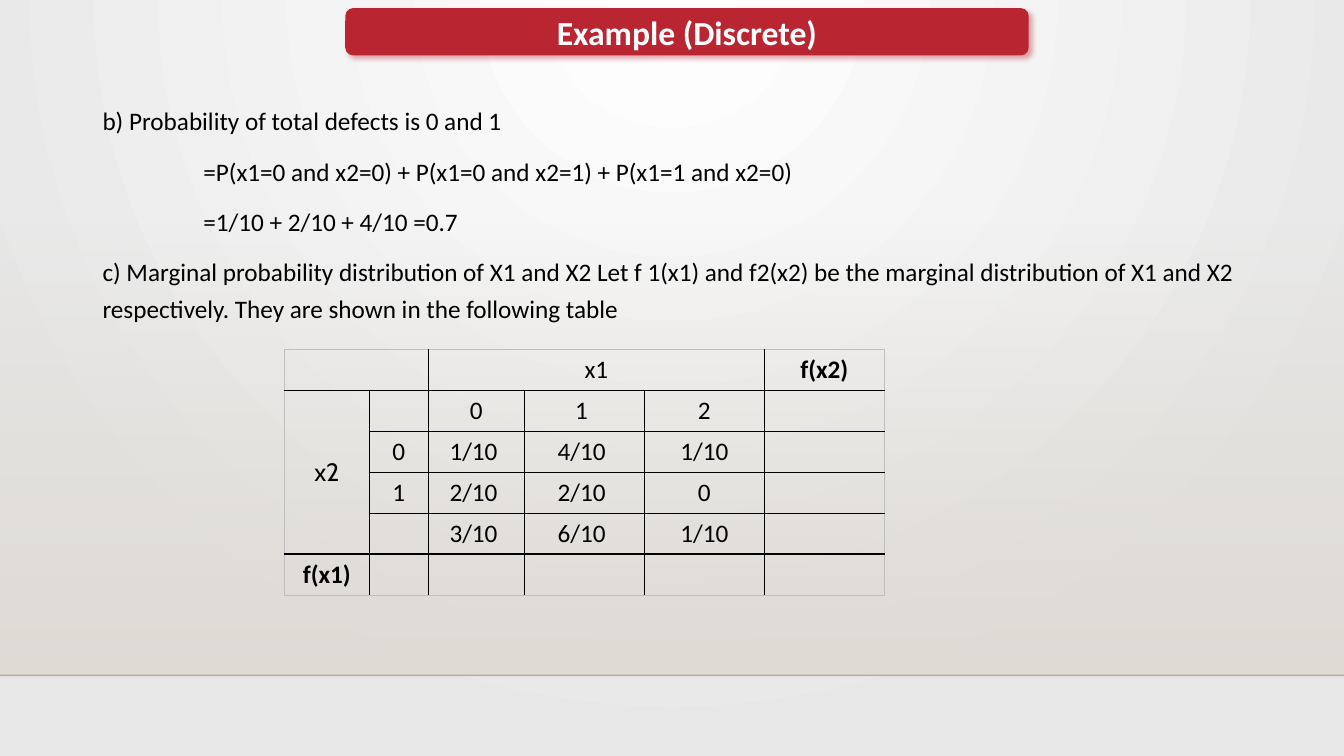
from lxml.etree import SubElement
from pptx import Presentation
from pptx.dml.color import RGBColor
from pptx.enum.shapes import MSO_CONNECTOR, MSO_SHAPE
from pptx.enum.text import MSO_ANCHOR, PP_ALIGN
from pptx.oxml.ns import qn
from pptx.util import Pt

# Content
TITLE = "Example (Discrete)"
BODY = [  # text, left indent
    ("b) Probability of total defects is 0 and 1", 0),
    ("=P(x1=0 and x2=0) + P(x1=0 and x2=1) + P(x1=1 and x2=0)", 72),
    ("=1/10 + 2/10 + 4/10 =0.7", 72),
    ("c) Marginal probability distribution of X1 and X2 Let f 1(x1) and f2(x2) "
     "be the marginal distribution of X1 and X2 respectively. "
     "They are shown in the following table", 0),
]
DISTRIBUTION = [
    ["", "", "x1", "", "", "f(x2)"],
    ["x2", "", "0", "1 ", "2", ""],
    ["", "0", "1/10 ", "4/10 ", "1/10", ""],
    ["", "1", "2/10 ", "2/10 ", "0", ""],
    ["", "", "3/10 ", "6/10 ", "1/10", ""],
    ["f(x1)", "", "", "", "", ""],
]
MERGES = [((0, 0), (0, 1)), ((0, 2), (0, 4)), ((1, 0), (4, 0))]
COLUMN_WIDTHS = [60.7, 42.2, 68.6, 85.7, 85.7, 85.7]
ROW_HEIGHT = 29.28
WIDTH, HEIGHT = 960, 540
HORIZON = 482.4
RED, BLACK, WHITE, GREY = "BA2532", "000000", "FFFFFF", "BFBFBF"


def rgb(value):
    return RGBColor.from_string(value)


def add_xml(parent, tag, **attributes):
    return SubElement(parent, qn(tag), {k: str(v) for k, v in attributes.items()})


def style(paragraph, size=18, color=BLACK, bold=False, font="Calibri"):
    for run in paragraph.runs:
        run.font.size = Pt(size)
        run.font.name = font
        run.font.bold = bold
        run.font.color.rgb = rgb(color)


def gradient(fill, *colors):
    fill.gradient()
    for stop, color in zip(fill.gradient_stops, colors):
        stop.color.rgb = rgb(color)


def border(cell, side, color, width):
    line = add_xml(cell._tc.get_or_add_tcPr(), f"a:{side}", w=Pt(width))
    add_xml(add_xml(line, "a:solidFill"), "a:srgbClr", val=color)


prs = Presentation()
prs.slide_width, prs.slide_height = Pt(WIDTH), Pt(HEIGHT)
slide = prs.slides.add_slide(prs.slide_layouts[6])
shapes = slide.shapes

# Background: light spreading from the top centre
gradient(slide.background.fill, WHITE, "E7E7E7")
linear = slide._element.xpath(".//p:bg//a:lin")[0]
radial = add_xml(linear.getparent(), "a:path", path="circle")
add_xml(radial, "a:fillToRect", l=43000, t=0, r=43000, b=100000)
linear.getparent().remove(linear)

# Floor: fades in downwards to the horizon line
floor = shapes.add_shape(MSO_SHAPE.RECTANGLE, 0, Pt(159.1), Pt(WIDTH), Pt(HORIZON - 159.1))
floor.shadow.inherit = False
floor.line.fill.background()
gradient(floor.fill, "DFDBD5", "DFDBD5")
floor.fill.gradient_angle = 270
add_xml(floor._element.xpath(".//a:gs/a:srgbClr")[0], "a:alpha", val=0)

horizon = shapes.add_connector(MSO_CONNECTOR.STRAIGHT, 0, Pt(HORIZON), Pt(WIDTH), Pt(HORIZON))
horizon.line.width = Pt(1)
horizon.line.color.rgb = rgb("000001")
add_xml(horizon._element.xpath(".//a:ln//a:srgbClr")[0], "a:alpha", val=20000)
add_xml(horizon._element.spPr, "a:effectLst")

# Title bar with a red glow below right
title = shapes.add_shape(MSO_SHAPE.ROUNDED_RECTANGLE, Pt(246.6), Pt(5.8), Pt(488.2), Pt(33.8))
title.fill.solid()
title.fill.fore_color.rgb = rgb(RED)
title.line.fill.background()
title.shadow.inherit = False
effects = title._element.spPr.find(qn("a:effectLst"))
glow = add_xml(effects, "a:outerShdw", blurRad=Pt(4), dist=Pt(3), dir=45 * 60000,
               algn="tl", rotWithShape=0)
add_xml(add_xml(glow, "a:srgbClr", val=RED), "a:alpha", val=40000)
title.text_frame.text = TITLE
title.text_frame.vertical_anchor = MSO_ANCHOR.MIDDLE
heading = title.text_frame.paragraphs[0]
heading.alignment = PP_ALIGN.CENTER
style(heading, 24, WHITE, True)

# Worked answers
answers = shapes.add_textbox(Pt(66.2), Pt(67.7), Pt(828), Pt(170)).text_frame
answers.word_wrap = True
answers.text = "\n".join(text for text, _ in BODY)
for paragraph, (_, indent) in zip(answers.paragraphs, BODY):
    paragraph.line_spacing = 1.2
    paragraph.space_before = Pt(10)
    paragraph._p.get_or_add_pPr().set("marL", str(Pt(indent)))
    style(paragraph)

# Distribution table
rows, columns = len(DISTRIBUTION), len(COLUMN_WIDTHS)
table = shapes.add_table(rows, columns, Pt(203.1), Pt(249.6),
                         Pt(sum(COLUMN_WIDTHS)), Pt(rows * ROW_HEIGHT)).table
table.first_row = table.horz_banding = False
for column, width in zip(table.columns, COLUMN_WIDTHS):
    column.width = Pt(width)
for row in table.rows:
    row.height = Pt(ROW_HEIGHT)
for first, last in MERGES:
    table.cell(*first).merge(table.cell(*last))

for r, texts in enumerate(DISTRIBUTION):
    for c, text in enumerate(texts):
        cell = table.cell(r, c)
        # Grey frame, black inner rules, heavier rule above the totals
        edges = {"lnL": c == 0, "lnR": c == columns - 1, "lnT": r == 0, "lnB": r == rows - 1}
        for side, outer in edges.items():
            heavy = (side, r) in [("lnB", rows - 2), ("lnT", rows - 1)]
            border(cell, side, GREY if outer else BLACK, 1.5 if heavy else 1)
        cell.fill.background()
        cell.vertical_anchor = MSO_ANCHOR.MIDDLE
        paragraph = cell.text_frame.paragraphs[0]
        paragraph.text = text
        paragraph.alignment = PP_ALIGN.CENTER
        style(paragraph, bold=text.startswith("f("), font="Cabin" if text == "x2" else "Calibri")

prs.save("out.pptx")
